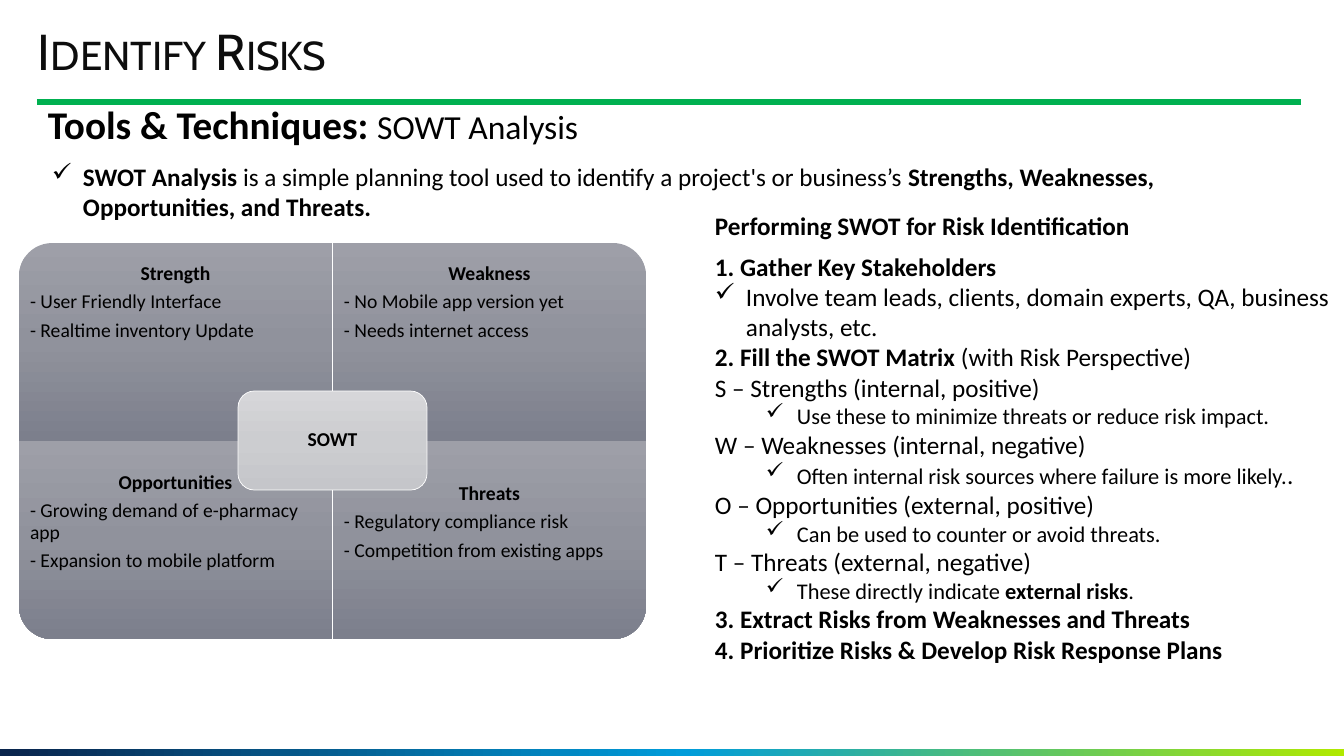
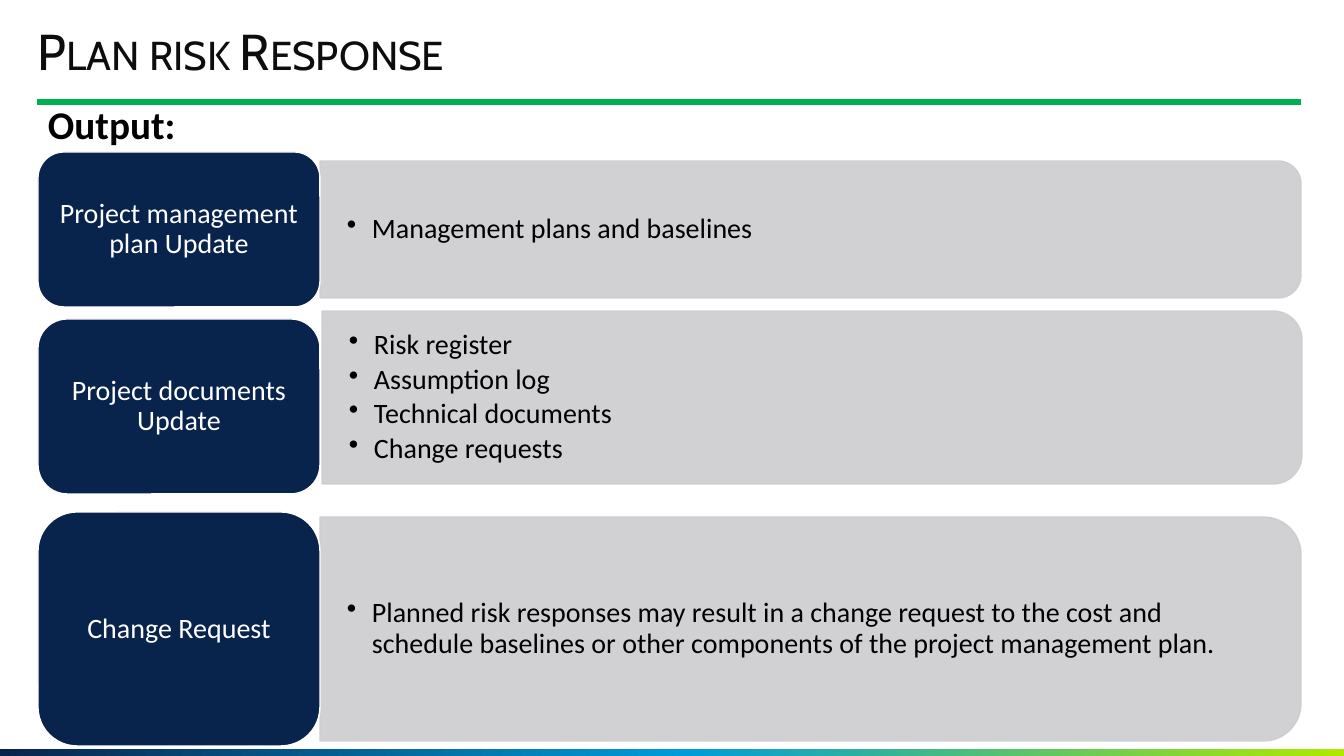
from dataclasses import dataclass
from typing import Any

from lxml import etree
from pptx import Presentation
from pptx.dml.color import RGBColor
from pptx.enum.shapes import MSO_CONNECTOR, MSO_SHAPE
from pptx.enum.text import MSO_ANCHOR, PP_ALIGN
from pptx.oxml.ns import qn
from pptx.util import Emu, Pt

# Scale and enum members
SLIDE_W, SLIDE_H = 1344, 756
SCALE = 12192000 / SLIDE_W
RECT, ROUND_RECT = MSO_SHAPE.RECTANGLE, MSO_SHAPE.ROUNDED_RECTANGLE
ONE_ROUND, TWO_ROUND = MSO_SHAPE.ROUND_1_RECTANGLE, MSO_SHAPE.ROUND_2_SAME_RECTANGLE
STRAIGHT = MSO_CONNECTOR.STRAIGHT
TOP, MIDDLE = MSO_ANCHOR.TOP, MSO_ANCHOR.MIDDLE
LEFT, CENTER = PP_ALIGN.LEFT, PP_ALIGN.CENTER

# Colours and fonts
BLACK = RGBColor(0x00, 0x00, 0x00)
WHITE = RGBColor(0xFF, 0xFF, 0xFF)
TITLE_INK = RGBColor(0x0D, 0x0D, 0x0D)
GREEN = RGBColor(0x00, 0xB0, 0x50)
NAVY = RGBColor(0x09, 0x24, 0x4C)
SKY = RGBColor(0x00, 0x9C, 0xDA)
LIME = RGBColor(0xB0, 0xE9, 0x00)
SILVER = RGBColor(0xCC, 0xCD, 0xD0)
BAND_STOPS = ((0, NAVY), (51, SKY), (100, LIME))
QUADRANT_STOPS = ((0, RGBColor(0x9E, 0x9F, 0xA8)), (50, RGBColor(0x90, 0x92, 0x9C)),
                  (100, RGBColor(0x7C, 0x7F, 0x8C)))
CENTRE_STOPS = ((0, RGBColor(0xD6, 0xD6, 0xD9)), (50, SILVER),
                (100, RGBColor(0xC5, 0xC6, 0xCA)))
BODY_FONT, TITLE_FONT = "Calibri", "Cabin"
DEFAULT_INSETS = (10, 5, 10, 5)
CHECK, DOT = "✓", "•"


@dataclass(frozen=True)
class Run:
    text: str
    size: int = 18
    bold: bool = False
    color: RGBColor = BLACK
    font: str = BODY_FONT
    small_caps: bool = False


@dataclass(frozen=True)
class Para:
    runs: tuple[Run, ...]
    align: Any = LEFT
    spacing: float = 1.0
    after: float = 0
    bullet: str = ""
    margin: int = 0
    hanging: int = 0


@dataclass(frozen=True)
class Box:
    x: int
    y: int
    w: int
    h: int


@dataclass(frozen=True)
class Quadrant:
    column: int
    row: int
    rotation: int
    text_top: int
    heading: str
    items: tuple[str, ...]


@dataclass(frozen=True)
class OutputRow:
    label: str
    label_box: Box
    bar: Box
    items: tuple[str, ...]


def px(value: float) -> Emu:
    return Emu(round(value * SCALE))


def set_attrs(obj: Any, values: dict[str, Any]) -> None:
    for name, value in values.items():
        setattr(obj, name, value)


# Text
def write(tf: Any, paras: list[Para], anchor: Any = TOP,
          insets: tuple[int, int, int, int] = DEFAULT_INSETS) -> None:
    left, top, right, bottom = map(px, insets)
    set_attrs(tf, {"word_wrap": True, "vertical_anchor": anchor, "margin_left": left,
                   "margin_top": top, "margin_right": right, "margin_bottom": bottom})
    for i, para in enumerate(paras):
        p = tf.add_paragraph() if i else tf.paragraphs[0]
        if para.bullet:
            pPr = p._p.get_or_add_pPr()
            pPr.set("marL", str(px(para.margin)))
            pPr.set("indent", str(-px(para.hanging)))
            etree.SubElement(pPr, qn("a:buChar")).set("char", para.bullet)
        set_attrs(p, {"alignment": para.align, "line_spacing": para.spacing,
                      "space_after": Pt(para.after)})
        for run in para.runs:
            r = p.add_run()
            r.text = run.text
            set_attrs(r.font, {"name": run.font, "size": Pt(run.size), "bold": run.bold})
            r.font.color.rgb = run.color
            if run.small_caps:
                r._r.get_or_add_rPr().set("cap", "small")


def add_text(slide: Any, box: Box, paras: list[Para], anchor: Any = TOP,
             insets: tuple[int, int, int, int] = DEFAULT_INSETS) -> None:
    tb = slide.shapes.add_textbox(px(box.x), px(box.y), px(box.w), px(box.h))
    write(tb.text_frame, paras, anchor, insets)


# Shapes
def add_box(slide: Any, kind: Any, box: Box, rotation: int = 0) -> Any:
    """Add a preset shape that covers the box once it is turned."""
    w, h = (box.h, box.w) if rotation % 180 else (box.w, box.h)
    x, y = box.x + (box.w - w) / 2, box.y + (box.h - h) / 2
    s = slide.shapes.add_shape(kind, px(x), px(y), px(w), px(h))
    s.rotation = rotation
    s.shadow.inherit = False
    s.line.fill.background()
    return s


def paint(fill: Any, color: RGBColor) -> None:
    fill.solid()
    fill.fore_color.rgb = color


def outline(s: Any, color: RGBColor, width: float) -> None:
    paint(s.line.fill, color)
    s.line.width = Pt(width)


def paint_gradient(s: Any, stops: tuple, angle: int) -> None:
    s.fill.gradient()
    grad = s.element.spPr.find(qn("a:gradFill"))
    grad.set("rotWithShape", "0")
    for child in list(grad):
        grad.remove(child)
    gs_list = etree.SubElement(grad, qn("a:gsLst"))
    for position, color in stops:
        gs = etree.SubElement(gs_list, qn("a:gs"), pos=str(position * 1000))
        etree.SubElement(gs, qn("a:srgbClr"), val=str(color))
    etree.SubElement(grad, qn("a:lin"), ang=str(angle * 60000), scaled="0")


def set_alpha(s: Any, percent: int) -> None:
    for clr in s.element.spPr.iter(qn("a:srgbClr")):
        etree.SubElement(clr, qn("a:alpha"), val=str(percent * 1000))


# Parts shared by the slides
def add_slide(prs: Any, title: str, heading: tuple[Run, ...]) -> Any:
    slide = prs.slides.add_slide(prs.slide_layouts[6])
    band = add_box(slide, RECT, Box(0, 749, SLIDE_W, 7))
    paint_gradient(band, BAND_STOPS, 0)
    rule = slide.shapes.add_connector(STRAIGHT, px(37), px(102), px(1301), px(102))
    outline(rule, GREEN, 4.5)
    etree.SubElement(rule.element.spPr, qn("a:effectLst"))
    title_run = Run(title, 36, color=TITLE_INK, font=TITLE_FONT, small_caps=True)
    add_text(slide, Box(38, 27, 1128, 55), [Para((title_run,), spacing=0.9)],
             insets=(0, 0, 0, 0))
    add_text(slide, Box(38, 101, 1263, 55), [Para(heading, spacing=0.9)])
    return slide


# Slide 1: SWOT matrix and steps
QUADRANTS = (
    Quadrant(0, 0, 270, 264, "Strength",
             ("- User Friendly Interface", "- Realtime inventory Update")),
    Quadrant(1, 0, 0, 264, "Weakness",
             ("- No Mobile app version yet", "- Needs internet access")),
    Quadrant(0, 1, 180, 473, "Opportunities",
             ("- Growing demand of e-pharmacy app", "- Expansion to mobile platform")),
    Quadrant(1, 1, 90, 484, "Threats",
             ("- Regulatory compliance risk", "- Competition from existing apps")),
)
QUAD_X, QUAD_Y, QUAD_W, QUAD_H, QUAD_GAP = 19, 243, 313, 198, 1


def step(text: str, rest: str = "") -> Para:
    return Para((Run(text, bold=True), Run(rest)) if rest else (Run(text, bold=True),))


def check(*runs: Run, margin: int = 82) -> Para:
    return Para(runs, bullet=CHECK, margin=margin, hanging=31)


STEPS = [
    step("1. Gather Key Stakeholders"),
    check(Run("Involve team leads, clients, domain experts, QA, business analysts, etc."),
          margin=31),
    step("2. Fill the SWOT Matrix", " (with Risk Perspective)"),
    Para((Run("S – Strengths (internal, positive)"),)),
    check(Run("Use these to minimize threats or reduce risk impact.", 16)),
    Para((Run("W – Weaknesses (internal, negative)"),)),
    check(Run("Often internal risk sources where failure is more likely.", 16), Run(".")),
    Para((Run("O – Opportunities (external, positive)"),)),
    check(Run("Can be used to counter or avoid threats.", 16)),
    Para((Run("T – Threats (external, negative)"),)),
    check(Run("These directly indicate ", 16), Run("external risks", 16, True), Run(".", 16)),
    step("3. Extract Risks from Weaknesses and Threats"),
    step("4. Prioritize Risks & Develop Risk Response Plans"),
]


def add_quadrant(slide: Any, quad: Quadrant) -> None:
    x = QUAD_X + quad.column * (QUAD_W + QUAD_GAP)
    y = QUAD_Y + quad.row * QUAD_H
    s = add_box(slide, ONE_ROUND, Box(x, y, QUAD_W, QUAD_H), quad.rotation)
    paint_gradient(s, QUADRANT_STOPS, 90)
    paras = [Para((Run(quad.heading, 14, True),), CENTER, 0.9, 4.9)]
    paras += [Para((Run(item, 14),), LEFT, 0.9, 4.9) for item in quad.items]
    add_text(slide, Box(x, quad.text_top, QUAD_W, 110), paras, insets=(11, 0, 11, 0))


def build_identify_risks(prs: Any) -> None:
    slide = add_slide(prs, "Identify Risks",
                      (Run("Tools & Techniques: ", 28, True), Run("SOWT Analysis", 24)))
    add_text(slide, Box(42, 156, 1259, 72), [check(
        Run("SWOT Analysis", bold=True),
        Run(" is a simple planning tool used to identify a project's or business’s "),
        Run("Strengths, Weaknesses, Opportunities, and Threats.", bold=True), margin=31)])
    for quad in QUADRANTS:
        add_quadrant(slide, quad)
    centre = add_box(slide, ROUND_RECT, Box(238, 391, 189, 99))
    paint_gradient(centre, CENTRE_STOPS, 90)
    outline(centre, WHITE, 0.5)
    write(centre.text_frame, [Para((Run("SOWT", 14, True),), CENTER, 0.9)], MIDDLE,
          (6, 6, 6, 6))
    column_insets = (10, 5, 0, 5)
    add_text(slide, Box(705, 205, 639, 40),
             [step("Performing SWOT for Risk Identification")], insets=column_insets)
    add_text(slide, Box(705, 246, 639, 489), STEPS, insets=column_insets)


# Slide 2: outputs
OUTPUT_ROWS = (
    OutputRow("Project management plan Update", Box(38, 152, 282, 155),
              Box(320, 161, 981, 137), ("Management plans and baselines",)),
    OutputRow("Project documents Update", Box(38, 319, 282, 175), Box(322, 311, 980, 173),
              ("Risk register", "Assumption log", "Technical documents", "Change requests")),
    OutputRow("Change Request", Box(38, 512, 282, 234), Box(320, 517, 981, 224),
              ("Planned risk responses may result in a change request to the cost and "
               "schedule baselines or other components of the project management plan.",)),
)


def add_output_row(slide: Any, row: OutputRow) -> None:
    bar = add_box(slide, TWO_ROUND, row.bar, 90)
    paint(bar.fill, SILVER)
    outline(bar, SILVER, 1)
    set_alpha(bar, 90)
    paras = [Para((Run(item, 20),), spacing=0.9, after=3, bullet=DOT, margin=25, hanging=25)
             for item in row.items]
    add_text(slide, row.bar, paras, MIDDLE, (27, 14, 37, 14))
    label = add_box(slide, ROUND_RECT, row.label_box)
    paint(label.fill, NAVY)
    outline(label, WHITE, 1)
    write(label.text_frame, [Para((Run(row.label, 20, color=WHITE),), CENTER, 0.9)], MIDDLE,
          (8, 4, 8, 4))


def build_plan_response(prs: Any) -> None:
    slide = add_slide(prs, "Plan risk Response", (Run("Output:", 28, True),))
    for row in OUTPUT_ROWS:
        add_output_row(slide, row)


def main() -> None:
    prs = Presentation()
    set_attrs(prs, {"slide_width": px(SLIDE_W), "slide_height": px(SLIDE_H)})
    build_identify_risks(prs)
    build_plan_response(prs)
    prs.save("out.pptx")


if __name__ == "__main__":
    main()
